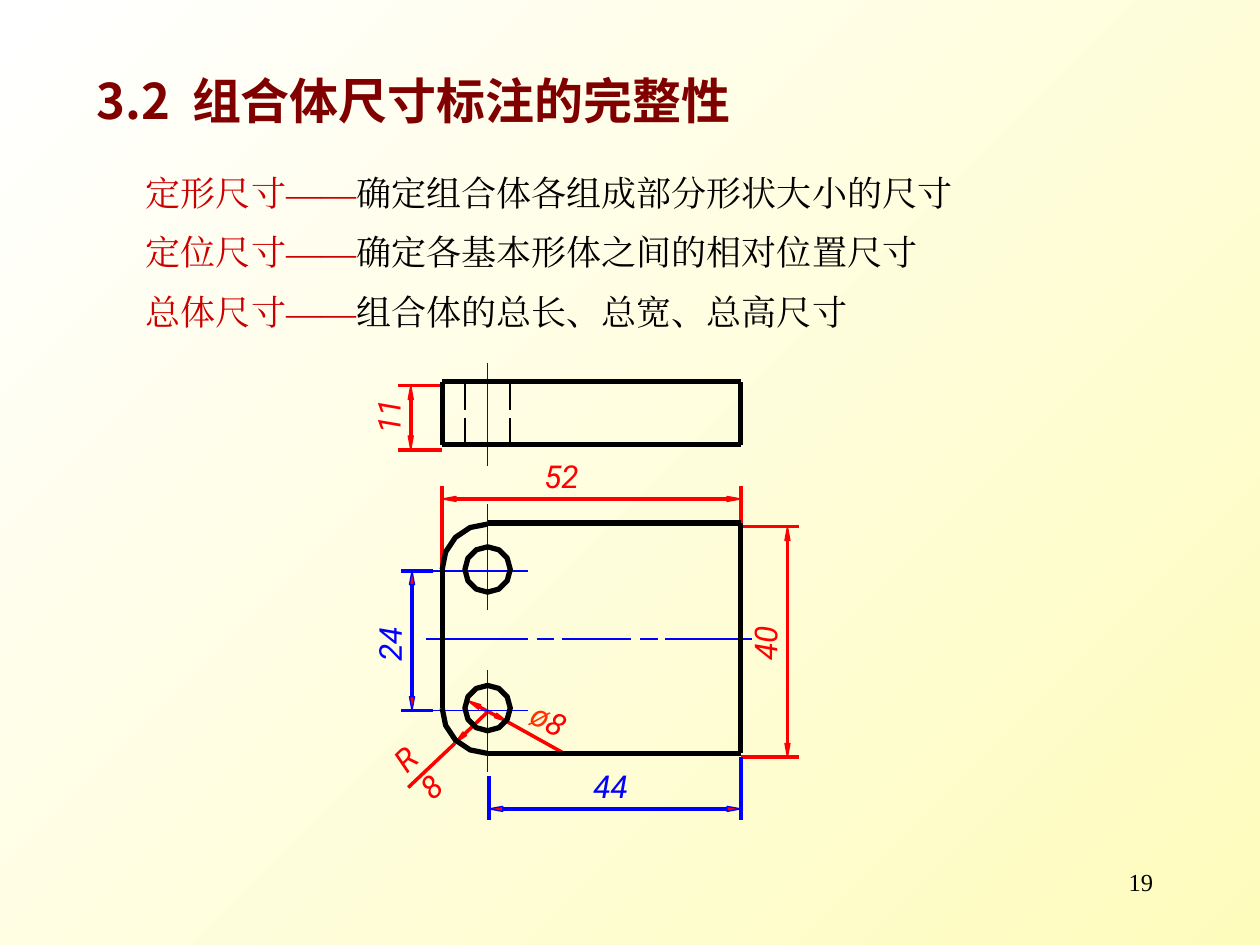
import math

from lxml import etree
from pptx import Presentation
from pptx.dml.color import RGBColor
from pptx.enum.shapes import MSO_CONNECTOR
from pptx.enum.text import MSO_ANCHOR, PP_ALIGN
from pptx.oxml.ns import qn
from pptx.util import Inches, Pt

STRAIGHT = MSO_CONNECTOR.STRAIGHT
MIDDLE = MSO_ANCHOR.MIDDLE
RIGHT = PP_ALIGN.RIGHT

CREAM = RGBColor(0xFE, 0xFC, 0xBC)
WHITE = RGBColor(0xFF, 0xFF, 0xFF)
MAROON = RGBColor(0x80, 0x00, 0x00)
CRIMSON = RGBColor(0xCC, 0x00, 0x00)
RED = RGBColor(0xFF, 0x00, 0x00)
ORANGE = RGBColor(0xFF, 0x33, 0x00)
BLUE = RGBColor(0x00, 0x00, 0xFF)
BLACK = RGBColor(0x00, 0x00, 0x00)

SERIF, SANS, CJK = "Times New Roman", "Roboto", "Noto Sans CJK SC"
HAIRLINE, THIN, THICK = 0, 1, 3
ARROW_LENGTH, ARROW_HALF_WIDTH = 0.11, 0.02

# Main positions of the drawing, in inches
LEFT_EDGE, RIGHT_EDGE = 3.51, 5.88
SIDE_TOP, SIDE_BOTTOM = 3.03, 3.53
PLATE_TOP, PLATE_BOTTOM = 4.15, 5.98
HOLE_X, HOLE_RADIUS, CORNER_RADIUS = 3.87, 0.18, 0.36
UPPER_HOLE_Y, LOWER_HOLE_Y = 4.52, 5.62

DEFINITIONS = [
    ("定形尺寸——", "确定组合体各组成部分形状大小的尺寸"),
    ("定位尺寸——", "确定各基本形体之间的相对位置尺寸"),
    ("总体尺寸——", "组合体的总长、总宽、总高尺寸"),
]


def add_box(page, left, top, width, height, margins=(0.1, 0.05), wrap=True):
    box = page.shapes.add_textbox(Inches(left), Inches(top), Inches(width), Inches(height))
    frame = box.text_frame
    frame.word_wrap = wrap
    frame.margin_left = frame.margin_right = Inches(margins[0])
    frame.margin_top = frame.margin_bottom = Inches(margins[1])
    return box


def add_span(para, text, size, font, color, bold=False, italic=False):
    span = para.add_run()
    span.text = text
    span.font.size = Pt(size)
    span.font.name = font
    span.font.color.rgb = color
    span.font.bold = bold
    span.font.italic = italic
    etree.SubElement(span.font._element, qn("a:ea")).set("typeface", font)
    return span


def add_label(page, left, top, spans, rotation=0, wrap=False):
    box = add_box(page, left, top, 0.28, 0.3, (0, 0), wrap)
    box.rotation = rotation
    for text, color in spans:
        add_span(box.text_frame.paragraphs[0], text, 18, SANS, color, italic=True)


def add_line(page, start, end, color, width=HAIRLINE):
    ends = [Inches(value) for value in (*start, *end)]
    line = page.shapes.add_connector(STRAIGHT, *ends)
    line.line.color.rgb = color
    line.line.width = Pt(width)
    etree.SubElement(line._element.spPr, qn("a:effectLst"))


def add_outline(page, points, color, width, closed=True, fill=None):
    corners = [(Inches(x), Inches(y)) for x, y in points]
    builder = page.shapes.build_freeform(*corners[0])
    builder.add_line_segments(corners[1:], close=closed)
    shape = builder.convert_to_shape()
    shape.shadow.inherit = False
    if fill is None:
        shape.fill.background()
    else:
        shape.fill.solid()
        shape.fill.fore_color.rgb = fill
    shape.line.color.rgb = color
    shape.line.width = Pt(width)


def arc_points(x, y, radius, first, last, steps):
    angles = [math.radians(first + (last - first) * i / steps) for i in range(steps + 1)]
    return [(x + radius * math.cos(a), y + radius * math.sin(a)) for a in angles]


def add_arrowhead(page, tip, tail, color):
    """Draw a red head at tip and return the middle of its base."""
    length = math.dist(tip, tail)
    ux, uy = (tail[0] - tip[0]) / length, (tail[1] - tip[1]) / length
    x, y = tip[0] + ux * ARROW_LENGTH, tip[1] + uy * ARROW_LENGTH
    dx, dy = -uy * ARROW_HALF_WIDTH, ux * ARROW_HALF_WIDTH
    add_outline(page, [(x + dx, y + dy), (x - dx, y - dy), tip], color, HAIRLINE, fill=RED)
    return x, y


def add_dimension(page, start, end, color):
    bases = add_arrowhead(page, start, end, color), add_arrowhead(page, end, start, color)
    add_line(page, *bases, color)


def add_texts(page):
    title = add_box(page, 0.67, 0.44, 5.99, 0.71)
    title.text_frame.vertical_anchor = MIDDLE
    para = title.text_frame.paragraphs[0]
    add_span(para, "3.2", 28, CJK, MAROON, bold=True)
    gap = add_span(para, " ", 28, CJK, MAROON, bold=True)
    gap.font._element.set("spc", "600")
    add_span(para, "组合体尺寸标注的完整性", 28, CJK, MAROON, bold=True)

    frame = add_box(page, 1.06, 1.31, 6.93, 1.57).text_frame
    for index, (term, meaning) in enumerate(DEFINITIONS):
        para = frame.add_paragraph() if index else frame.paragraphs[0]
        para.space_before = Pt(10 if index else 0)
        add_span(para, term, 20, SERIF, CRIMSON)
        add_span(para, meaning, 20, SERIF, BLACK)

    para = add_box(page, 7.17, 6.83, 2.08, 0.5).text_frame.paragraphs[0]
    para.alignment = RIGHT
    add_span(para, "19", 14, SERIF, BLACK)


def add_dimensions(page):
    # Extension lines
    for y in (3.06, 3.57):
        add_line(page, (LEFT_EDGE, y), (3.16, y), RED)
    for y in (4.53, 5.64):
        add_line(page, (3.44, y), (3.18, y), BLUE)
    for y in (4.18, 6.01):
        add_line(page, (RIGHT_EDGE, y), (6.34, y), RED)
    for x, top, bottom, color in [
        (LEFT_EDGE, 3.86, 4.55, RED), (RIGHT_EDGE, 3.86, 4.18, RED),
        (3.88, 6.16, 6.51, BLUE), (RIGHT_EDGE, 6.01, 6.51, BLUE),
    ]:
        add_line(page, (x, top), (x, bottom), color)

    # Dimension lines with a head at both ends
    for start, end, color in [
        ((3.26, 3.06), (3.26, 3.57), RED),
        ((LEFT_EDGE, 3.96), (RIGHT_EDGE, 3.96), RED),
        ((3.27, 4.53), (3.27, 5.64), BLUE),
        ((6.25, 4.18), (6.25, 6.01), RED),
        ((3.88, 6.42), (RIGHT_EDGE, 6.42), BLUE),
        ((3.71, 5.56), (4.03, 5.73), RED),
    ]:
        add_dimension(page, start, end, color)

    # Diameter and radius leaders
    add_line(page, (4.03, 5.73), (4.46, 5.97), RED)
    base = add_arrowhead(page, (3.61, 5.9), (3.88, 5.64), RED)
    add_line(page, (3.88, 5.64), base, RED)
    add_line(page, (3.61, 5.9), (3.24, 6.25), RED)

    # Values
    add_label(page, 2.94, 3.15, [("11", RED)], 270)
    add_label(page, 4.71, 6.09, [("44", BLUE)])
    add_label(page, 4.32, 3.63, [("52", RED)])
    add_label(page, 2.95, 4.96, [("24", BLUE)], 270)
    add_label(page, 5.93, 4.95, [("40", RED)], 270)
    add_label(page, 3.12, 5.83, [("R8", RED)], 316, wrap=True)
    add_label(page, 4.22, 5.56, [("ø", ORANGE), ("8", RED)], 28)


def add_part(page):
    # Hidden edges of the hole
    for x in (HOLE_X - HOLE_RADIUS, HOLE_X + HOLE_RADIUS):
        for top, bottom in ((SIDE_TOP, 3.25), (3.32, SIDE_BOTTOM)):
            add_line(page, (x, top), (x, bottom), BLACK, THIN)

    # Centre lines
    for left, right in ((3.38, 4.19), (4.26, 4.4), (4.46, 5.01), (5.08, 5.22), (5.28, 5.97)):
        add_line(page, (left, 5.07), (right, 5.07), BLUE, THIN)
    for top, bottom in ((2.88, 3.7), (4, 4.84), (5.32, 6.13)):
        add_line(page, (HOLE_X, top), (HOLE_X, bottom), BLUE, THIN)
    for y in (4.53, 5.64):
        add_line(page, (3.39, y), (4.19, y), BLUE, THIN)

    # Visible edges of both views
    for y in (SIDE_TOP, SIDE_BOTTOM):
        add_line(page, (LEFT_EDGE, y), (RIGHT_EDGE, y), BLACK, THICK)
    for y in (PLATE_TOP, PLATE_BOTTOM):
        add_line(page, (HOLE_X, y), (RIGHT_EDGE, y), BLACK, THICK)
    for x, top, bottom in [
        (LEFT_EDGE, SIDE_TOP, SIDE_BOTTOM), (RIGHT_EDGE, SIDE_TOP, SIDE_BOTTOM),
        (LEFT_EDGE, UPPER_HOLE_Y, LOWER_HOLE_Y), (RIGHT_EDGE, PLATE_TOP, PLATE_BOTTOM),
    ]:
        add_line(page, (x, top), (x, bottom), BLACK, THICK)

    # Rounded corners and holes
    for y, first in ((UPPER_HOLE_Y, 180), (LOWER_HOLE_Y, 90)):
        corner = arc_points(HOLE_X, y, CORNER_RADIUS, first, first + 90, 4)
        add_outline(page, corner, BLACK, THICK, closed=False)
        hole = arc_points(HOLE_X, y, HOLE_RADIUS, 0, 330, 11)
        add_outline(page, hole, BLACK, THICK)


def main():
    deck = Presentation()
    deck.slide_width, deck.slide_height = Inches(10), Inches(7.5)
    page = deck.slides.add_slide(deck.slide_layouts[6])
    backdrop = page.background.fill
    backdrop.gradient()
    backdrop.gradient_angle = 135
    for stop, color in zip(backdrop.gradient_stops, (CREAM, WHITE)):
        stop.color.rgb = color
    add_texts(page)
    add_dimensions(page)
    add_part(page)
    deck.save("out.pptx")


if __name__ == "__main__":
    main()
